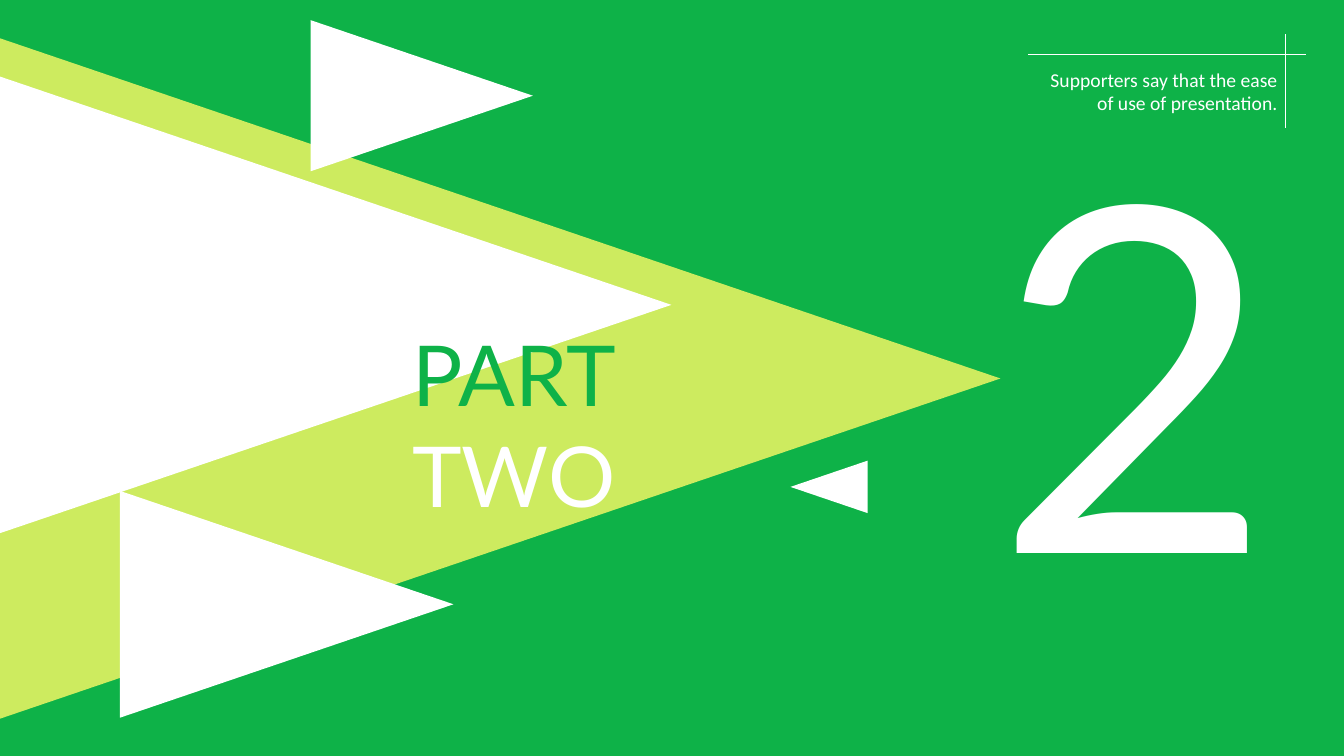
"""Build the section divider slide for part two."""
from dataclasses import dataclass

from lxml import etree
from pptx import Presentation
from pptx.dml.color import RGBColor
from pptx.enum.shapes import MSO_CONNECTOR, MSO_SHAPE
from pptx.enum.text import MSO_AUTO_SIZE, PP_ALIGN
from pptx.oxml.ns import qn
from pptx.util import Inches, Pt

TRIANGLE = MSO_SHAPE.ISOSCELES_TRIANGLE
STRAIGHT = MSO_CONNECTOR.STRAIGHT
FIT_SHAPE = MSO_AUTO_SIZE.SHAPE_TO_FIT_TEXT
LEFT, RIGHT = PP_ALIGN.LEFT, PP_ALIGN.RIGHT
POINT_RIGHT, POINT_LEFT = 90, 270
LENGTH_RATIO = 1.47


@dataclass(frozen=True)
class Theme:
    green: RGBColor = RGBColor(0x0E, 0xB2, 0x48)
    lime: RGBColor = RGBColor(0xCD, 0xEB, 0x5F)
    white: RGBColor = RGBColor(0xFF, 0xFF, 0xFF)
    heading_font: str = "Lato"
    body_font: str = "Calibri"
    number_size: Pt = Pt(344)
    title_size: Pt = Pt(60)
    body_size: Pt = Pt(14)
    line_width: Pt = Pt(0.5)


theme = Theme()
deck = Presentation()
deck.slide_width, deck.slide_height = Inches(13.33), Inches(7.5)
page = deck.slides.add_slide(deck.slide_layouts[6])
page.background.fill.solid()
page.background.fill.fore_color.rgb = theme.green


def add_triangle(left, top, height, color, rotation=POINT_RIGHT):
    """Place a sideways triangle by its visible left, top and height."""
    length = height * LENGTH_RATIO
    shift = (length - height) / 2
    triangle = page.shapes.add_shape(
        TRIANGLE, Inches(left + shift), Inches(top - shift), Inches(height), Inches(length)
    )
    triangle.rotation = rotation
    triangle.shadow.inherit = False
    triangle.fill.solid()
    triangle.fill.fore_color.rgb = color
    triangle.line.fill.background()


def add_text(lines, *, at, font, size, align=LEFT, wrap=True):
    """Add a text box with one paragraph per (text, color) line."""
    box = page.shapes.add_textbox(*(Inches(value) for value in at))
    frame = box.text_frame
    frame.word_wrap = wrap
    frame.auto_size = FIT_SHAPE
    for index, (text, color) in enumerate(lines):
        para = frame.add_paragraph() if index else frame.paragraphs[0]
        para.alignment = align
        span = para.add_run()
        span.text = text
        span.font.name = font
        span.font.size = size
        span.font.color.rgb = color


add_triangle(0, 0.38, 6.75, theme.lime)

add_text([("2", theme.white)], at=(9.77, 0.66, 2.69, 5.89),
         font=theme.heading_font, size=theme.number_size, wrap=False)
add_text([("Supporters say that the ease of use of presentation.", theme.white)],
         at=(10.2, 0.62, 2.57, 0.57), font=theme.body_font, size=theme.body_size, align=RIGHT)

for ends in ((10.2, 0.54, 12.95, 0.54), (12.75, 0.34, 12.75, 1.27)):
    rule = page.shapes.add_connector(STRAIGHT, *(Inches(value) for value in ends))
    rule.line.color.rgb = theme.white
    rule.line.width = theme.line_width
    etree.SubElement(rule._element.spPr, qn("a:effectLst"))

for left, top, height, rotation in (
    (3.08, 0.2, 1.5, POINT_RIGHT),
    (1.19, 4.87, 2.25, POINT_RIGHT),
    (7.84, 4.57, 0.52, POINT_LEFT),
    (0, 0.76, 4.53, POINT_RIGHT),
):
    add_triangle(left, top, height, theme.white, rotation)

add_text([("PART", theme.green), ("TWO", theme.white)], at=(3.99, 3.15, 4.29, 2.1),
         font=theme.heading_font, size=theme.title_size)

deck.save("out.pptx")
